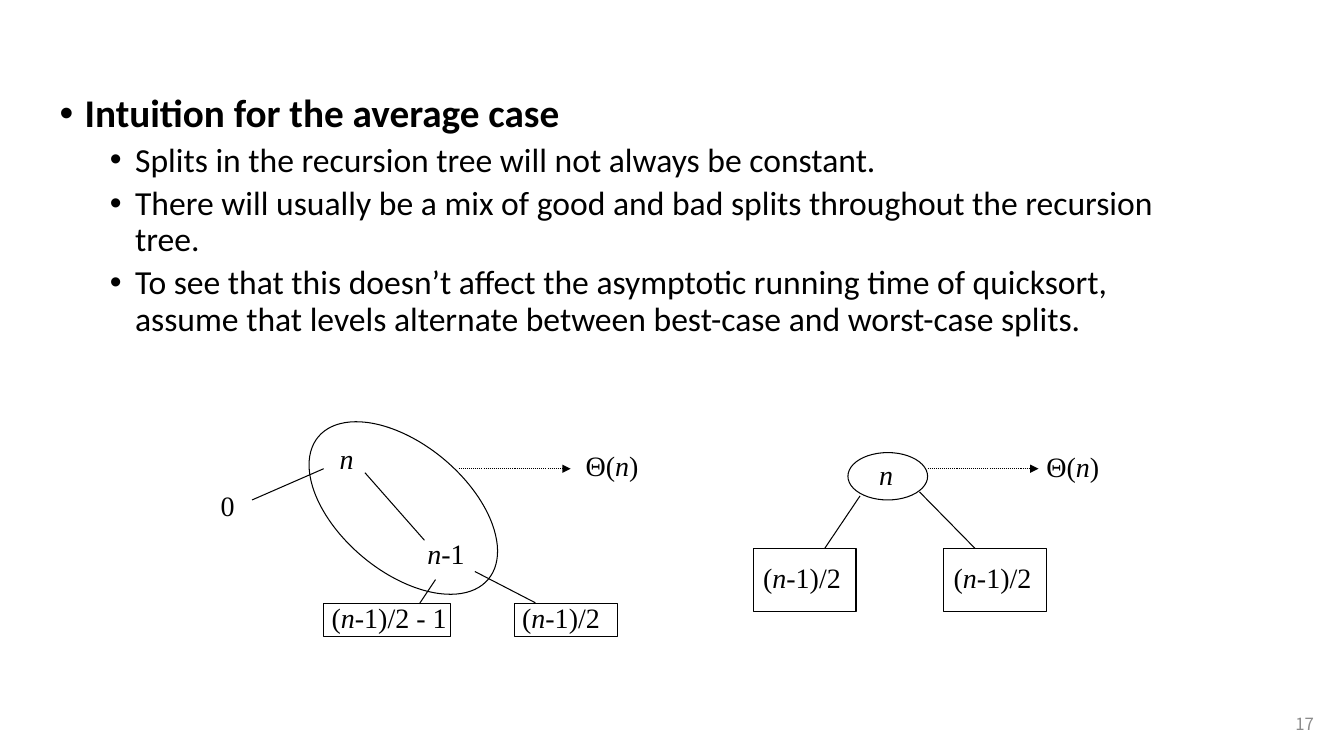
from lxml.etree import SubElement
from pptx import Presentation
from pptx.dml.color import RGBColor
from pptx.enum.dml import MSO_LINE
from pptx.enum.shapes import MSO_CONNECTOR, MSO_SHAPE
from pptx.enum.text import MSO_ANCHOR, MSO_AUTO_SIZE, PP_ALIGN
from pptx.oxml.ns import qn
from pptx.util import Pt

EMU_PER_PX = 9144
BLACK = "000000"
GRAY = "8C8C8C"


def px(*lengths):
    return [length * EMU_PER_PX for length in lengths]


def paint(target, color):
    target.fill.solid()
    target.fill.fore_color.rgb = RGBColor.from_string(color)


deck = Presentation()
deck.slide_width, deck.slide_height = px(1333, 750)
slide = deck.slides.add_slide(deck.slide_layouts[1])
shapes = slide.shapes
title = shapes.title.element
title.getparent().remove(title)

intuition = slide.placeholders[1]
intuition.left, intuition.top, intuition.width, intuition.height = px(49, 88, 1169, 546)
points = [
    (0, "Intuition for the average case"),
    (1, "Splits in the recursion tree will not always be constant."),
    (1, "There will usually be a mix of good and bad splits throughout the recursion tree."),
    (1, "To see that this doesn’t affect the asymptotic running time of quicksort, "
        "assume that levels alternate between best-case and worst-case splits."),
]
frame = intuition.text_frame
frame.text = "\n".join(text for level, text in points)
frame.auto_size = MSO_AUTO_SIZE.NONE
frame.vertical_anchor = MSO_ANCHOR.TOP
for point, (level, text) in zip(frame.paragraphs, points):
    point.level = level
    point.line_spacing = 0.9
    point.space_before = Pt(5 * level)
    properties = point._p.get_or_add_pPr()
    indent, hanging = px(25 + 50 * level, -25)
    properties.set("marL", str(indent))
    properties.set("indent", str(hanging))
    SubElement(properties, qn("a:buFont")).set("typeface", "Arial")
    SubElement(properties, qn("a:buChar")).set("char", "•")
    font = point.runs[0].font
    font.name = "Calibri"
    font.size = Pt(24 if level else 28)
    font.bold = level == 0
    paint(font, BLACK)

outlines = [
    (MSO_SHAPE.OVAL, 290, 441, 220, 126, 40),
    (MSO_SHAPE.RECTANGLE, 321, 599, 126, 32, 0),
    (MSO_SHAPE.RECTANGLE, 510, 599, 102, 32, 0),
    (MSO_SHAPE.OVAL, 841, 449, 79, 47, 0),
    (MSO_SHAPE.RECTANGLE, 747, 544, 102, 63, 0),
    (MSO_SHAPE.RECTANGLE, 936, 544, 102, 63, 0),
]
for kind, left, top, width, height, angle in outlines:
    node = shapes.add_shape(kind, *px(left, top, width, height))
    node.rotation = angle
    node.shadow.inherit = False
    node.fill.background()
    node.line.width = Pt(0.75)
    paint(node.line, BLACK)

branches = [
    (362, 469, 421, 536, False),
    (321, 465, 250, 496, False),
    (432, 575, 416, 599, False),
    (471, 567, 531, 598, False),
    (853, 492, 818, 544, False),
    (912, 488, 967, 544, False),
    (455, 465, 566, 465, True),
    (920, 465, 1030, 465, True),
]
for x1, y1, x2, y2, is_cost in branches:
    branch = shapes.add_connector(MSO_CONNECTOR.STRAIGHT, *px(x1, y1, x2, y2))
    branch.line.width = Pt(0.75)
    paint(branch.line, BLACK)
    if is_cost:
        branch.line.dash_style = MSO_LINE.ROUND_DOT
        SubElement(branch.line._ln, qn("a:tailEnd")).set("type", "triangle")
    SubElement(branch._element.spPr, qn("a:effectLst"))

labels = [
    ("n", 327, 433, 34),
    ("n-1", 414, 527, 57),
    ("0", 209, 480, 34),
    ("(n-1)/2 - 1", 319, 591, 134),
    ("(n-1)/2", 508, 591, 97),
    ("n", 862, 449, 34),
    ("(n-1)/2", 747, 551, 97),
    ("(n-1)/2", 936, 551, 97),
    ("Θ(n)", 571, 440, 73),
    ("Θ(n)", 1028, 441, 73),
]
for text, left, top, width in labels:
    label = shapes.add_textbox(*px(left, top, width, 43)).text_frame
    label.word_wrap = False
    label.auto_size = MSO_AUTO_SIZE.SHAPE_TO_FIT_TEXT
    for part in filter(None, text.partition("n")):
        run = label.paragraphs[0].add_run()
        run.text = part
        run.font.name = "Times New Roman"
        run.font.size = Pt(20)
        run.font.italic = part == "n"
        paint(run.font, BLACK)

page = shapes.add_textbox(*px(1253, 698, 60, 40)).text_frame
page.text = "17"
page.word_wrap = True
page.vertical_anchor = MSO_ANCHOR.MIDDLE
page.paragraphs[0].alignment = PP_ALIGN.RIGHT
page_font = page.paragraphs[0].runs[0].font
page_font.name = "Noto Sans CJK SC"
page_font.size = Pt(12)
paint(page_font, GRAY)

deck.save("out.pptx")
